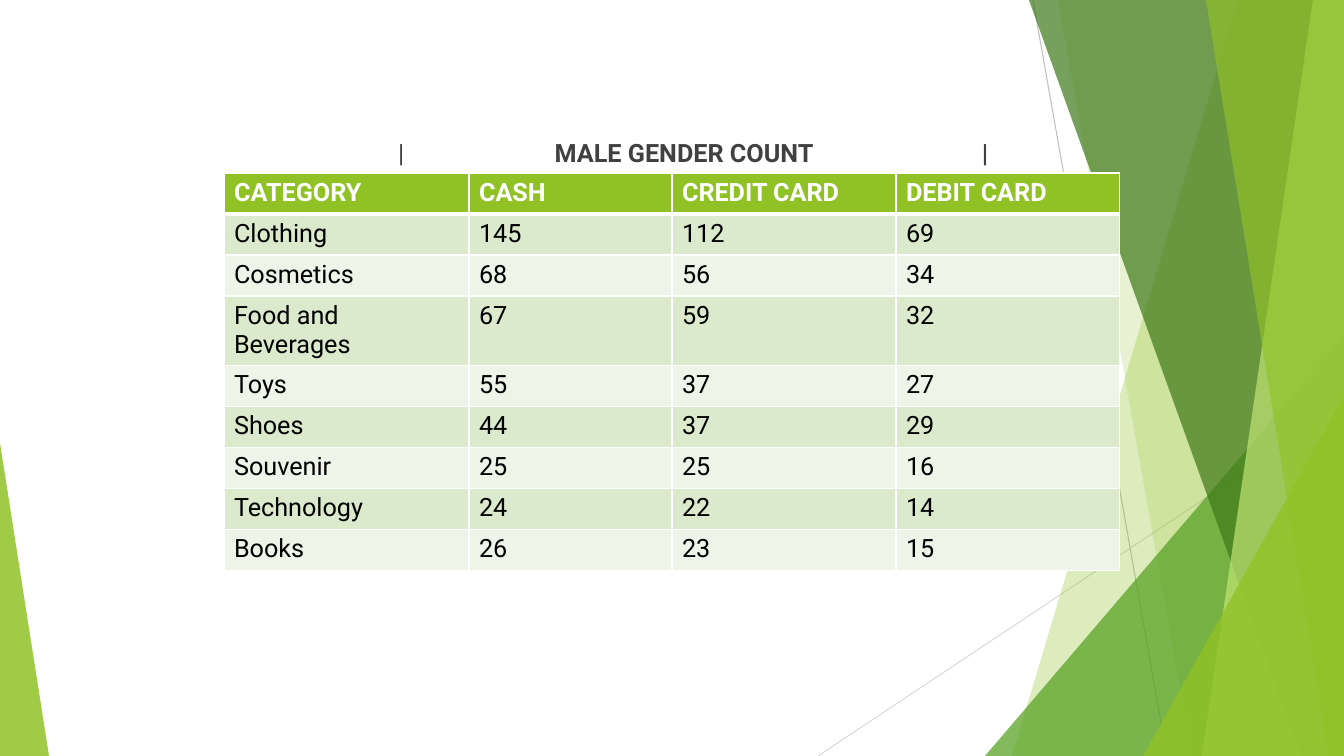
from pptx import Presentation
from pptx.dml.color import RGBColor as RGB
from pptx.enum.shapes import MSO_CONNECTOR as CONN, MSO_SHAPE as SHAPE
from pptx.enum.text import MSO_ANCHOR as ANCHOR, MSO_AUTO_SIZE as FIT, PP_ALIGN as ALIGN
from pptx.oxml import parse_xml
from pptx.oxml.ns import nsdecls, qn
from pptx.oxml.xmlchemy import OxmlElement as Elem
from pptx.util import Pt

PX = 914400 / 100.8
FONT = "Roboto"
LIME, WHITE = "90C226", "FFFFFF"


def px(*nums):
    return [round(n * PX) for n in nums]


def paint(shape, color, alpha):
    shape.shadow.inherit = False
    shape.line.fill.background()
    shape.fill.solid()
    shape.fill.fore_color.rgb = RGB.from_string(color)
    tint = Elem("a:alpha")
    tint.set("val", str(alpha * 1000))
    shape._element.spPr.find(qn("a:solidFill"))[0].append(tint)


deck = Presentation()
deck.slide_width, deck.slide_height = px(1344, 756)
slide = deck.slides.add_slide(deck.slide_layouts[5])
shapes = slide.shapes

for ends, color in [((1033, 0, 1167, 756), "BFBFBF"), ((1344, 406, 818, 756), "D9D9D9")]:
    line = shapes.add_connector(CONN.STRAIGHT, *px(*ends))
    line.line.color.rgb = RGB.from_string(color)
    line.line.width = Pt(0.75)
    line._element.spPr.append(Elem("a:effectLst"))

facets = [
    ("band", (1238, 1012), LIME, 30),
    ("band", (1058, 1192), LIME, 20),
    ("tri", (985, 336, 359, 420, 1), "54A021", 72),
    ("band", (1029, 1301), "3F7819", 70),
    ("band", (1313, 1202), "C0E474", 70),
    ("band", (1206, 1329), LIME, 65),
    ("tri", (1143, 396, 201, 360, 1), LIME, 80),
    ("tri", (0, 443, 49, 313, 0), LIME, 85),
]
for kind, nums, color, alpha in facets:
    if kind == "band":
        top, foot = nums
        pen = shapes.build_freeform(top, 0, scale=PX)
        pen.add_line_segments([(1344, 0), (1344, 756), (foot, 756)], close=True)
        facet = pen.convert_to_shape()
    else:
        *box, peak = nums
        facet = shapes.add_shape(SHAPE.ISOSCELES_TRIANGLE, *px(*box))
        facet.adjustments[0] = peak
    paint(facet, color, alpha)

title = shapes.title
title.left, title.top, title.width, title.height = px(76, 132, 1192, 42)
frame = title.text_frame
frame.auto_size = FIT.NONE
frame.vertical_anchor = ANCHOR.TOP
head = frame.paragraphs[0]
head.alignment = ALIGN.LEFT
for text, bold in [("\t|", False), ("\tMALE GENDER COUNT\t|", True)]:
    run = head.add_run()
    run.text = text
    run.font.name, run.font.size, run.font.bold = FONT, Pt(18), bold
    run.font.color.rgb = RGB.from_string("404040")
tabs = Elem("a:tabLst")
for stop in px(315, 598, 899):
    tab = Elem("a:tab")
    tab.set("pos", str(stop))
    tab.set("algn", "ctr")
    tabs.append(tab)
head._p.get_or_add_pPr().append(tabs)

rows = [
    ("CATEGORY", "CASH", "CREDIT CARD", "DEBIT CARD"),
    ("Clothing", 145, 112, 69),
    ("Cosmetics", 68, 56, 34),
    ("Food and Beverages", 67, 59, 32),
    ("Toys", 55, 37, 27),
    ("Shoes", 44, 37, 29),
    ("Souvenir", 25, 25, 16),
    ("Technology", 24, 22, 14),
    ("Books", 26, 23, 15),
]
table = shapes.add_table(len(rows), 4, *px(224, 173, 896, 397)).table
for col, width in zip(table.columns, px(245, 203, 224, 224)):
    col.width = width
for r, row in enumerate(rows):
    table.rows[r].height = px(69 if r == 3 else 41)[0]
    back = LIME if r == 0 else ("EEF4E8", "DBE9CD")[r % 2]
    for c, value in enumerate(row):
        cell = table.cell(r, c)
        cell.text = str(value)
        font = cell.text_frame.paragraphs[0].runs[0].font
        font.name, font.size, font.bold = FONT, Pt(18), r == 0
        font.color.rgb = RGB.from_string(WHITE if r == 0 else "000000")
        props = cell._tc.get_or_add_tcPr()
        for side in "LRTB":
            thick = 3 if (r, side) in [(0, "B"), (1, "T")] else 1
            props.append(parse_xml(
                f'<a:ln{side} {nsdecls("a")} w="{Pt(thick)}"><a:solidFill>'
                f'<a:srgbClr val="{WHITE}"/></a:solidFill></a:ln{side}>'))
        cell.fill.solid()
        cell.fill.fore_color.rgb = RGB.from_string(back)

deck.save("out.pptx")
